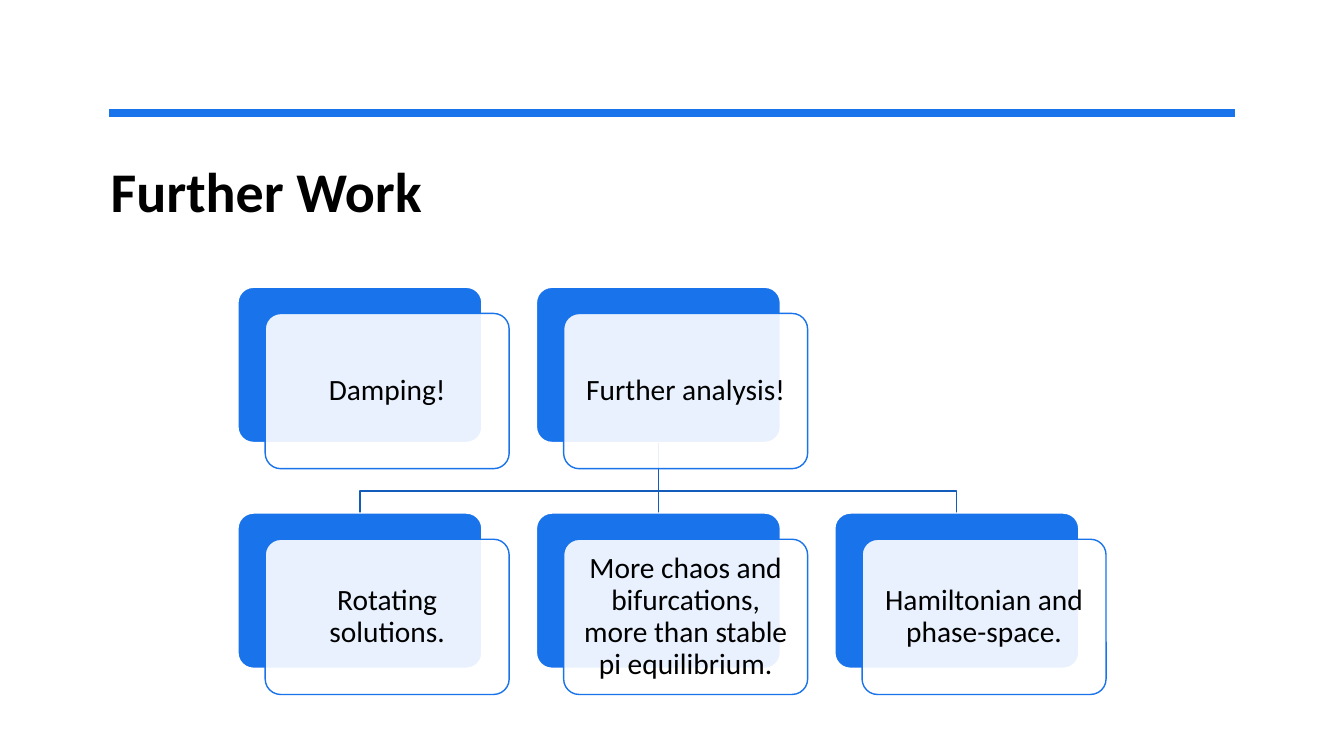
from dataclasses import dataclass

from lxml import etree
from pptx import Presentation
from pptx.dml.color import RGBColor
from pptx.enum.shapes import MSO_CONNECTOR, MSO_SHAPE
from pptx.enum.text import MSO_ANCHOR, PP_ALIGN
from pptx.oxml.ns import qn
from pptx.util import Emu, Pt

STRAIGHT = MSO_CONNECTOR.STRAIGHT
ROUNDED = MSO_SHAPE.ROUNDED_RECTANGLE
TOP, MIDDLE = MSO_ANCHOR.TOP, MSO_ANCHOR.MIDDLE
CENTER = PP_ALIGN.CENTER

EMU_PER_PX = 9144  # 100 px to the inch


@dataclass(frozen=True)
class Theme:
    font: str = "Calibri"
    text: RGBColor = RGBColor(0x00, 0x00, 0x00)
    paper: RGBColor = RGBColor(0xFF, 0xFF, 0xFF)
    blue: RGBColor = RGBColor(0x19, 0x73, 0xEB)
    branch: RGBColor = RGBColor(0x14, 0x5C, 0xBC)
    title_size: int = 40
    card_size: int = 21
    rule_width: int = 6
    thin_width: int = 1


@dataclass(frozen=True)
class Card:
    text: str
    column: int
    row: int

    @property
    def left(self) -> int:
        return GRID_LEFT + self.column * COLUMN_STEP

    @property
    def top(self) -> int:
        return GRID_TOP + self.row * ROW_STEP

    @property
    def center(self) -> int:
        return self.left + CARD_WIDTH // 2


THEME = Theme()

# Card grid, in px
GRID_LEFT, GRID_TOP = 236, 285
COLUMN_STEP, ROW_STEP = 296, 224
CARD_WIDTH, CARD_HEIGHT = 242, 154
FRONT_SHIFT_X, FRONT_SHIFT_Y = 27, 26
CARD_INSET = 9
BRANCH_DROP = 48

DAMPING = Card("Damping!", 0, 0)
ANALYSIS = Card("Further analysis!", 1, 0)
ANALYSIS_TOPICS = [
    Card("Rotating solutions.", 0, 1),
    Card("More chaos and bifurcations, more than stable pi equilibrium.", 1, 1),
    Card("Hamiltonian and phase-space.", 2, 1),
]


def px(length: int) -> Emu:
    return Emu(length * EMU_PER_PX)


def style_run(paragraph, size: int, bold: bool = False) -> None:
    font = paragraph.runs[0].font
    font.name = THEME.font
    font.size = Pt(size)
    font.bold = bold
    font.color.rgb = THEME.text


def draw_title(slide, text: str) -> None:
    title = slide.shapes.add_textbox(px(100), px(150), px(1133), px(125))
    frame = title.text_frame
    frame.word_wrap = True
    frame.vertical_anchor = TOP
    frame.text = text
    style_run(frame.paragraphs[0], THEME.title_size, bold=True)


def draw_line(slide, start: tuple[int, int], end: tuple[int, int],
              color: RGBColor, width: int) -> None:
    line = slide.shapes.add_connector(STRAIGHT, *map(px, start + end))
    line.line.color.rgb = color
    line.line.width = Pt(width)
    etree.SubElement(line._element.spPr, qn("a:effectLst"))


def draw_branch(slide, parent: Card, child: Card) -> None:
    start = (parent.center, parent.top + CARD_HEIGHT)
    end = (child.center, child.top)
    if parent.column == child.column:
        draw_line(slide, start, end, THEME.branch, THEME.thin_width)
        return
    bend = start[1] + BRANCH_DROP
    builder = slide.shapes.build_freeform(*start, scale=EMU_PER_PX)
    builder.add_line_segments([(start[0], bend), (end[0], bend), end], close=False)
    elbow = builder.convert_to_shape()
    elbow.shadow.inherit = False
    elbow.fill.background()
    elbow.line.color.rgb = THEME.branch
    elbow.line.width = Pt(THEME.thin_width)


def draw_panel(slide, left: int, top: int, fill: RGBColor, outline: RGBColor):
    panel = slide.shapes.add_shape(ROUNDED, px(left), px(top),
                                   px(CARD_WIDTH), px(CARD_HEIGHT))
    panel.adjustments[0] = 0.1
    panel.shadow.inherit = False
    panel.fill.solid()
    panel.fill.fore_color.rgb = fill
    panel.line.color.rgb = outline
    panel.line.width = Pt(THEME.thin_width)
    return panel


def draw_card(slide, card: Card) -> None:
    draw_panel(slide, card.left, card.top, THEME.blue, THEME.paper)
    front = draw_panel(slide, card.left + FRONT_SHIFT_X, card.top + FRONT_SHIFT_Y,
                       THEME.paper, THEME.blue)
    # Let the blue panel show faintly through the front one
    fill_color = front._element.spPr.find(qn("a:solidFill"))[0]
    etree.SubElement(fill_color, qn("a:alpha"), val="90000")

    frame = front.text_frame
    frame.word_wrap = True
    frame.vertical_anchor = MIDDLE
    frame.margin_left = frame.margin_right = px(CARD_INSET)
    frame.margin_top = frame.margin_bottom = px(CARD_INSET)
    frame.text = card.text
    label = frame.paragraphs[0]
    label.alignment = CENTER
    label.line_spacing = 0.9
    style_run(label, THEME.card_size)


def main() -> None:
    deck = Presentation()
    deck.slide_width, deck.slide_height = px(1333), px(750)
    slide = deck.slides.add_slide(deck.slide_layouts[6])

    # Heading
    draw_title(slide, "Further Work")
    draw_line(slide, (108, 112), (1225, 112), THEME.blue, THEME.rule_width)

    # Branches lie behind the cards
    for topic in ANALYSIS_TOPICS:
        draw_branch(slide, ANALYSIS, topic)

    # Cards
    for card in [DAMPING, ANALYSIS, *ANALYSIS_TOPICS]:
        draw_card(slide, card)

    deck.save("out.pptx")


if __name__ == "__main__":
    main()
